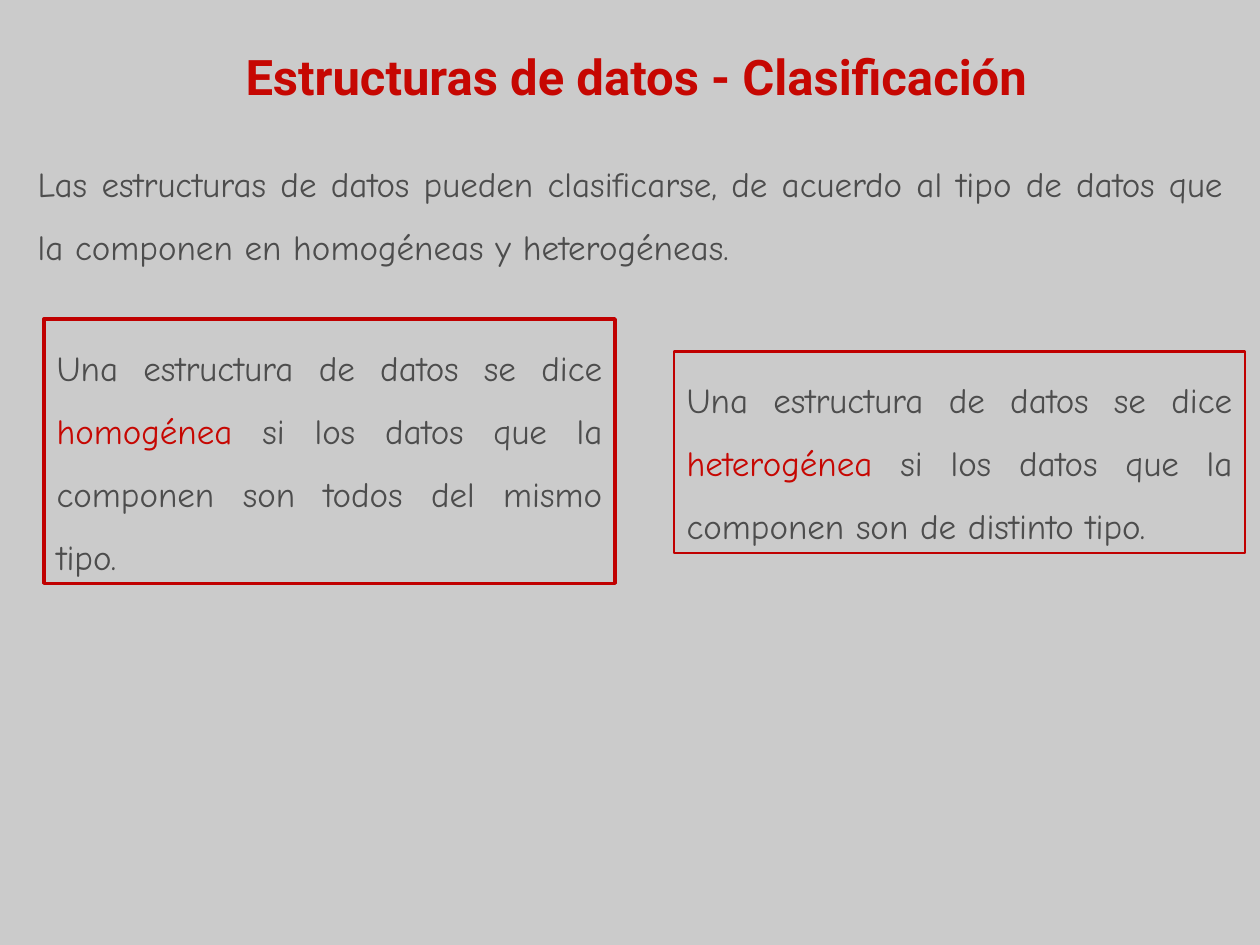
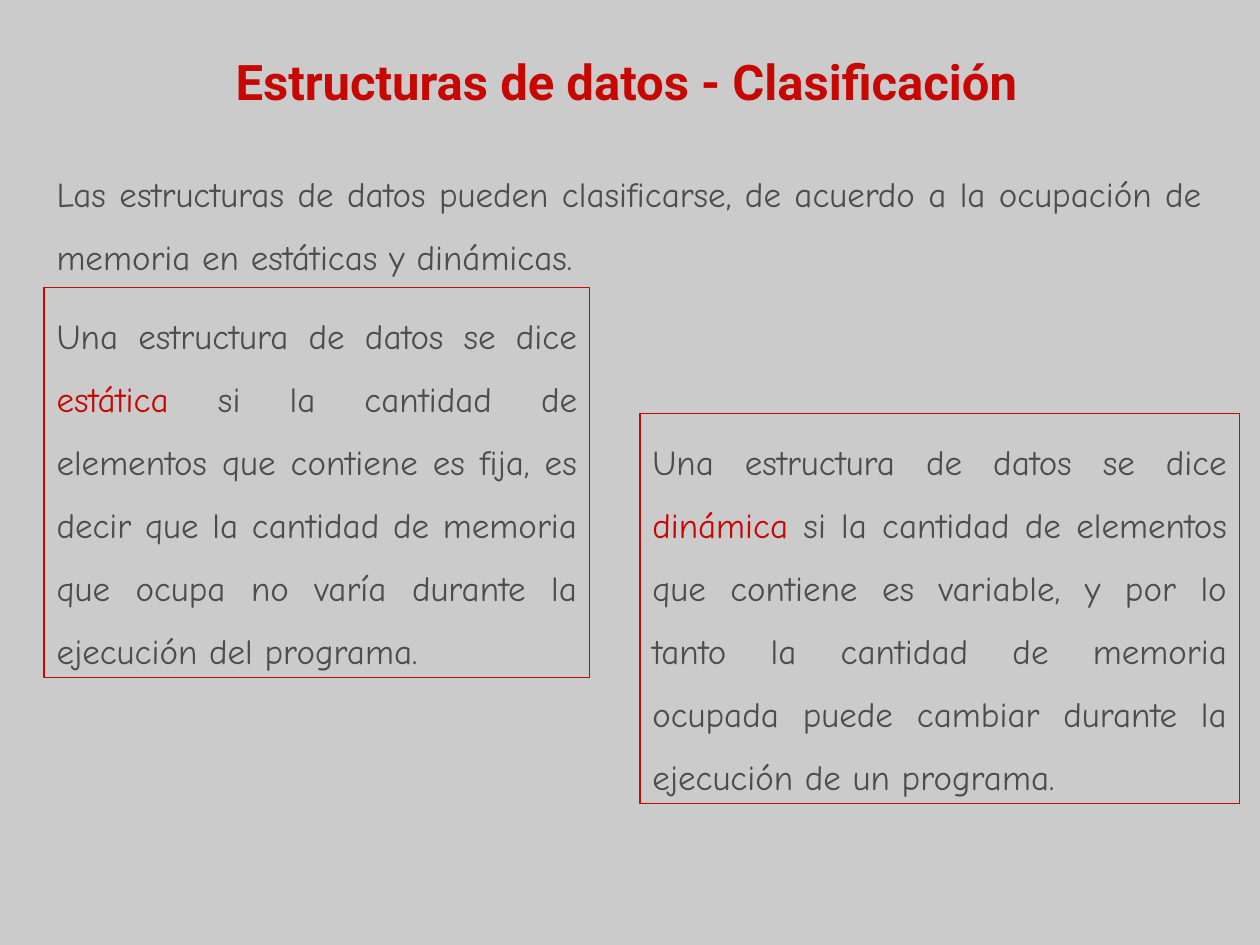
from pptx import Presentation
from pptx.dml.color import RGBColor
from pptx.enum.shapes import MSO_SHAPE
from pptx.enum.text import MSO_ANCHOR, MSO_AUTO_SIZE, PP_ALIGN
from pptx.util import Cm, Pt

RECTANGLE = MSO_SHAPE.RECTANGLE
TOP, MIDDLE = MSO_ANCHOR.TOP, MSO_ANCHOR.MIDDLE
FIT_SHAPE = MSO_AUTO_SIZE.SHAPE_TO_FIT_TEXT
CENTER, JUSTIFY = PP_ALIGN.CENTER, PP_ALIGN.JUSTIFY

BACKGROUND = RGBColor(0xCB, 0xCB, 0xCB)
GREY = RGBColor(0x4D, 0x4D, 0x4D)
RED = RGBColor(0xC6, 0x07, 0x02)
DARK_RED = RGBColor(0xC0, 0x00, 0x00)

TITLE = "Estructuras de datos - Clasificación"
DEFINITION_START = "Una estructura de datos se dice "
MARGIN = 0.89


def add_page(deck):
    page = deck.slides.add_slide(deck.slide_layouts[6])
    page.background.fill.solid()
    page.background.fill.fore_color.rgb = BACKGROUND
    return page


def add_title(page, left, top):
    box = page.shapes.add_textbox(Cm(left), Cm(top), Cm(18.85), Cm(2.62))
    frame = box.text_frame
    frame.word_wrap = True
    frame.vertical_anchor = MIDDLE
    para = frame.paragraphs[0]
    para.text = TITLE
    para.alignment = CENTER
    para.font.name = "Roboto"
    para.font.size = Pt(28)
    para.font.bold = True
    para.font.color.rgb = RED


def write_body(box, *spans):
    """Fill a box with one justified paragraph of (text, colour) spans."""
    frame = box.text_frame
    frame.word_wrap = True
    frame.auto_size = FIT_SHAPE
    frame.vertical_anchor = TOP
    para = frame.paragraphs[0]
    para.alignment = JUSTIFY
    para.line_spacing = 1.5
    para.font.name = "Comic Neue"
    para.font.size = Pt(20)
    for text, colour in spans:
        span = para.add_run()
        span.text = text
        span.font.color.rgb = colour


def add_intro(page, left, top, width, text):
    box = page.shapes.add_textbox(Cm(left), Cm(top), Cm(width), Cm(2.79))
    write_body(box, (text, GREY))


def add_definition(page, left, top, width, height, term, ending,
                   line_colour=RED, line_width=0.75, filled=False):
    """Add a framed definition with its term in red."""
    box = page.shapes.add_shape(RECTANGLE, Cm(left), Cm(top), Cm(width), Cm(height))
    box.shadow.inherit = False
    if filled:
        box.fill.solid()
        box.fill.fore_color.rgb = BACKGROUND
    else:
        box.fill.background()
    box.line.color.rgb = line_colour
    box.line.width = Pt(line_width)
    write_body(box, (DEFINITION_START, GREY), (term, RED), (ending, GREY))


def add_data_type_page(deck):
    page = add_page(deck)
    add_intro(page, 0.51, 2.72, 24.41,
              "Las estructuras de datos pueden clasificarse, de acuerdo al tipo "
              "de datos que la componen en homogéneas y heterogéneas.")
    add_definition(page, MARGIN, 6.43, 11.51, 5.33, "homogénea",
                   " si los datos que la componen son todos del mismo tipo.",
                   DARK_RED, 2, filled=True)
    add_definition(page, 13.59, 7.09, 11.51, 4.06, "heterogénea",
                   " si los datos que la componen son de distinto tipo.",
                   DARK_RED, 1.5, filled=True)
    add_title(page, 3.4, 0.23)


def add_memory_page(deck):
    page = add_page(deck)
    add_definition(page, MARGIN, 5.79, 11, 7.87, "estática",
                   " si la cantidad de elementos que contiene es fija, es decir "
                   "que la cantidad de memoria que ocupa no varía durante la "
                   "ejecución del programa.")
    add_definition(page, 12.9, 8.33, 12.09, 7.87, "dinámica",
                   " si la cantidad de elementos que contiene es variable, y por "
                   "lo tanto la cantidad de memoria ocupada puede cambiar durante "
                   "la ejecución de un programa.")
    add_intro(page, MARGIN, 2.92, 23.6,
              "Las estructuras de datos pueden clasificarse, de acuerdo a la "
              "ocupación de memoria en estáticas y dinámicas.")
    add_title(page, 3.2, 0.33)


def main():
    deck = Presentation()
    deck.slide_width, deck.slide_height = Cm(25.4), Cm(19.05)
    add_data_type_page(deck)
    add_memory_page(deck)
    deck.save("out.pptx")


if __name__ == "__main__":
    main()
